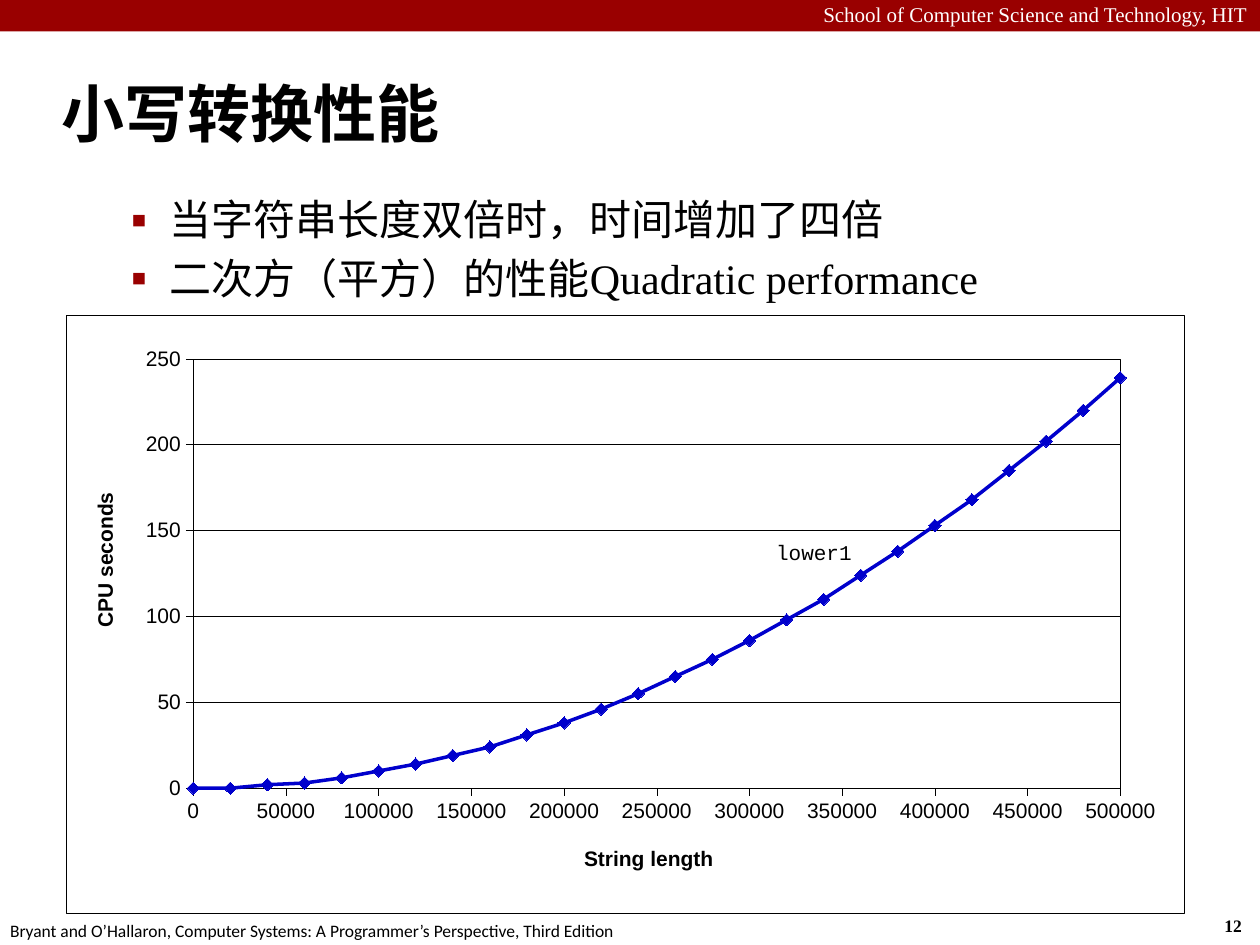
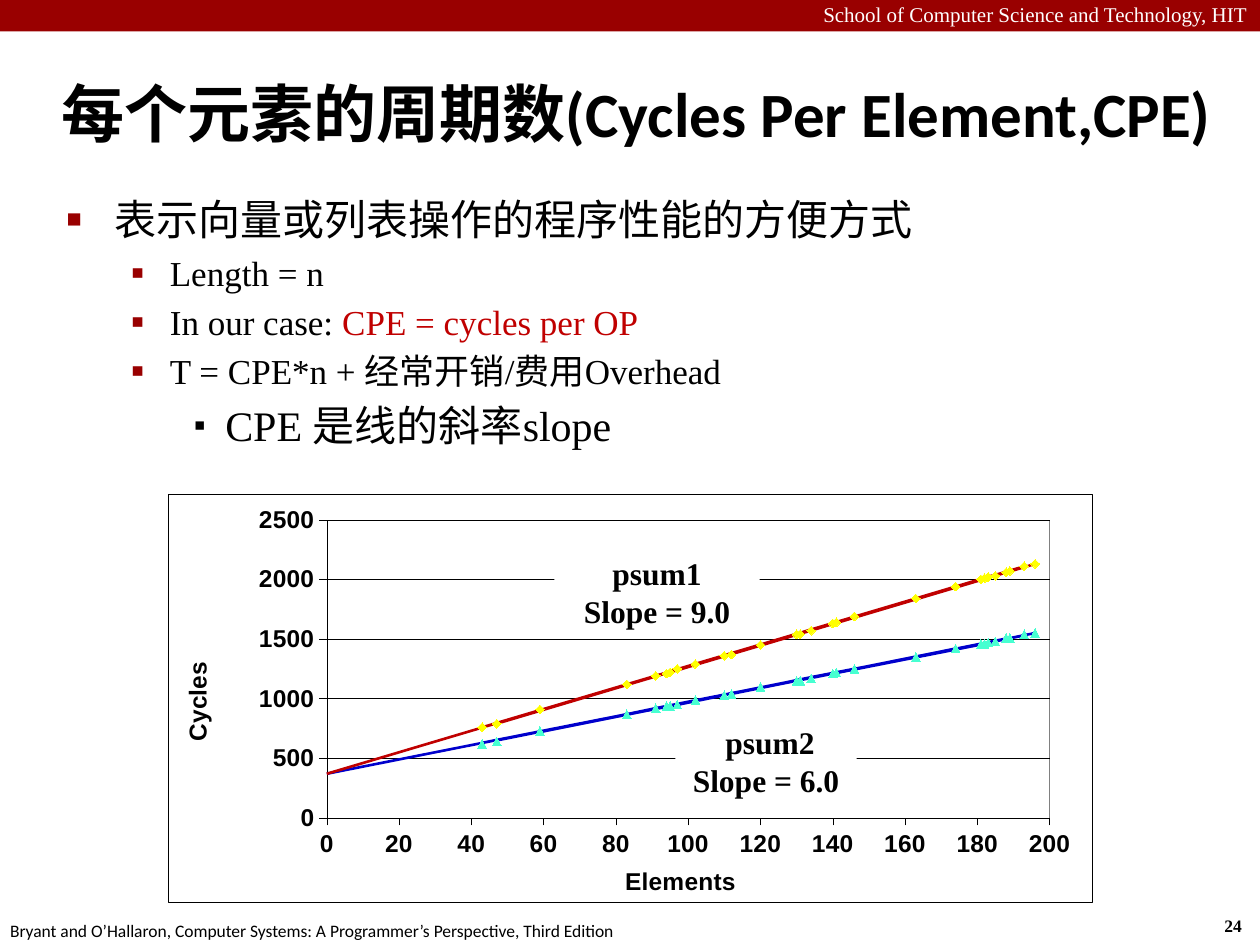
from dataclasses import dataclass
from typing import Any, Optional

import lxml.etree
import pptx
import pptx.chart.data
import pptx.dml.color
import pptx.enum.chart
import pptx.enum.shapes
import pptx.enum.text
import pptx.oxml
import pptx.oxml.ns
import pptx.util

EMU_PER_PX = 9144
RED, BLUE, BLACK, WHITE = "990000", "0000CC", "000000", "FFFFFF"
CRIMSON, YELLOW, AQUA, GREY = "C00000", "FFFF00", "47FFD1", "808080"
SERIF, SANS, HEAD, MONO = "Times New Roman", "Arial", "Calibri", "Courier New"
SCHOOL = "School of Computer Science and Technology, HIT"
BOOK = "Bryant and O’Hallaron, Computer Systems: A Programmer’s Perspective, Third Edition"
ALIGN = pptx.enum.text.PP_ALIGN
MARKER = pptx.enum.chart.XL_MARKER_STYLE
CHART = pptx.enum.chart.XL_CHART_TYPE
qn = pptx.oxml.ns.qn


@dataclass
class Box:
    left: int
    top: int
    width: int
    height: int

    def emu(self) -> list[int]:
        return [px(v) for v in (self.left, self.top, self.width, self.height)]


@dataclass
class Bullet:
    level: int
    size: int
    text: str
    accent: str = ""


@dataclass
class BulletStyle:
    char: str
    percent: int
    left: int
    hang: int
    color: str


@dataclass
class Series:
    name: str
    xs: list[int]
    ys: list[Optional[int]]
    color: str
    line_width: float = 0
    marker: Any = MARKER.NONE
    marker_size: int = 5


@dataclass
class Axis:
    title: str
    maximum: int
    step: int
    title_x: float
    title_y: float


@dataclass
class ScatterChart:
    box: Box
    kind: Any
    size: int
    bold: bool
    plot: tuple[float, float, float, float]
    plot_line: str
    x_axis: Axis
    y_axis: Axis
    series: list[Series]


BULLETS = [
    BulletStyle("■", 60, 38, 38, RED),
    BulletStyle("▪", 110, 82, 31, RED),
    BulletStyle("▪", 80, 126, 25, BLACK),
]


def px(value: int) -> int:
    return value * EMU_PER_PX


def rgb(color: str) -> pptx.dml.color.RGBColor:
    return pptx.dml.color.RGBColor.from_string(color)


def style_font(font: Any, size: float, name: str, color: str = BLACK, bold: bool = False) -> None:
    font.size = pptx.util.Pt(size)
    font.name = name
    font.bold = bold
    font.color.rgb = rgb(color)


def style_line(line: Any, color: str, width: float) -> None:
    line.color.rgb = rgb(color)
    line.width = pptx.util.Pt(width)


def set_margins(tf: Any, left: int, top: int, right: int, bottom: int) -> None:
    tf.margin_left, tf.margin_top = px(left), px(top)
    tf.margin_right, tf.margin_bottom = px(right), px(bottom)


def add_text(s: Any, box: Box, text: str, size: int, font: str, bold: bool = False,
             align: Any = ALIGN.LEFT, fill: Optional[str] = None,
             margins: tuple[int, int, int, int] = (10, 5, 10, 5), wrap: bool = True) -> None:
    sp = s.shapes.add_textbox(*box.emu())
    if fill:
        sp.fill.solid()
        sp.fill.fore_color.rgb = rgb(fill)
    tf = sp.text_frame
    tf.word_wrap = wrap
    set_margins(tf, *margins)
    tf.text = text
    for p in tf.paragraphs:
        p.alignment = align
        style_font(p.runs[0].font, size, font, bold=bold)


def add_band(s: Any) -> None:
    sp = s.shapes.add_shape(pptx.enum.shapes.MSO_SHAPE.RECTANGLE, *Box(0, 0, 1000, 25).emu())
    sp.shadow.inherit = False
    sp.fill.solid()
    sp.fill.fore_color.rgb = rgb(RED)
    sp.line.fill.background()
    tf = sp.text_frame
    set_margins(tf, 10, 0, 10, 2)
    tf.vertical_anchor = pptx.enum.text.MSO_ANCHOR.MIDDLE
    tf.text = SCHOOL
    tf.paragraphs[0].alignment = ALIGN.RIGHT
    style_font(tf.paragraphs[0].runs[0].font, 12, SERIF, WHITE)


def add_slide(prs: Any, title: str, number: int) -> Any:
    s = prs.slides.add_slide(prs.slide_layouts[5])
    add_band(s)
    add_text(s, Box(962, 721, 37, 27), str(number), 10, SERIF, bold=True, wrap=False)
    add_text(s, Box(0, 725, 508, 27), BOOK, 10, HEAD, margins=(8, 5, 10, 5), wrap=False)
    sp = s.shapes.title
    sp.left, sp.top, sp.width, sp.height = Box(39, 48, 961, 83).emu()
    tf = sp.text_frame
    tf.text = title
    tf.auto_size = pptx.enum.text.MSO_AUTO_SIZE.NONE
    tf.vertical_anchor = pptx.enum.text.MSO_ANCHOR.MIDDLE
    tf.paragraphs[0].alignment = ALIGN.LEFT
    style_font(tf.paragraphs[0].runs[0].font, 36, HEAD, bold=True)
    return s


def set_bullet(p: Any, style: BulletStyle) -> None:
    pPr = p._p.get_or_add_pPr()
    pPr.set("marL", str(px(style.left)))
    pPr.set("indent", str(-px(style.hang)))
    color = lxml.etree.SubElement(pPr, qn("a:buClr"))
    lxml.etree.SubElement(color, qn("a:srgbClr"), val=style.color)
    lxml.etree.SubElement(pPr, qn("a:buSzPct"), val=str(style.percent * 1000))
    lxml.etree.SubElement(pPr, qn("a:buFont"), typeface=SANS)
    lxml.etree.SubElement(pPr, qn("a:buChar"), char=style.char)


def add_bullets(s: Any, height: int, bullets: list[Bullet]) -> None:
    tf = s.shapes.add_textbox(*Box(43, 149, 940, height).emu()).text_frame
    tf.word_wrap = True
    for i, bullet in enumerate(bullets):
        p = tf.add_paragraph() if i else tf.paragraphs[0]
        p.text = bullet.text
        set_bullet(p, BULLETS[bullet.level])
        if i:
            p.space_before = pptx.util.Pt(bullet.size * 0.2)
        style_font(p.runs[0].font, bullet.size, SERIF)
        if bullet.accent:
            r = p.add_run()
            r.text = bullet.accent
            style_font(r.font, bullet.size, SERIF, CRIMSON)


def set_layout(element: Any, **values: Any) -> None:
    layout = element.find(qn("c:layout"))
    if layout is None:
        layout = lxml.etree.Element(qn("c:layout"))
        element.insert(0, layout)
    manual = lxml.etree.SubElement(layout, qn("c:manualLayout"))
    for tag, value in values.items():
        lxml.etree.SubElement(manual, qn(f"c:{tag}"), val=str(value))


def frame_xml(fill: str, line: str) -> Any:
    return pptx.oxml.parse_xml(
        f'<c:spPr {pptx.oxml.ns.nsdecls("c", "a")}>{fill}<a:ln w="3175"><a:solidFill>'
        f'<a:srgbClr val="{line}"/></a:solidFill></a:ln></c:spPr>')


def format_axis(axis: Any, spec_axis: Axis, size: int, grid: bool) -> None:
    axis.minimum_scale, axis.maximum_scale = 0, spec_axis.maximum
    axis.major_unit = spec_axis.step
    axis.major_tick_mark = pptx.enum.chart.XL_TICK_MARK.OUTSIDE
    axis.minor_tick_mark = pptx.enum.chart.XL_TICK_MARK.NONE
    style_line(axis.format.line, BLACK, 0.25)
    axis.has_major_gridlines = grid
    if grid:
        style_line(axis.major_gridlines.format.line, BLACK, 0.25)
    title = axis.axis_title
    tf = title.text_frame
    tf.text = spec_axis.title
    style_font(tf.paragraphs[0].runs[0].font, size, SANS, bold=True)
    if grid:
        body = title._element.find(".//" + qn("a:bodyPr"))
        body.set("rot", "-5400000")
        body.set("vert", "horz")
    set_layout(title._element, xMode="edge", yMode="edge", x=spec_axis.title_x, y=spec_axis.title_y)


def format_series(ser: Any, data: Series) -> None:
    if data.line_width:
        style_line(ser.format.line, data.color, data.line_width)
    else:
        ser.format.line.fill.background()
    ser.marker.style = data.marker
    if data.marker != MARKER.NONE:
        ser.marker.size = data.marker_size
        ser.marker.format.fill.solid()
        ser.marker.format.fill.fore_color.rgb = rgb(data.color)
        ser.marker.format.line.color.rgb = rgb(data.color)


def add_scatter(s: Any, scatter: ScatterChart) -> None:
    data = pptx.chart.data.XyChartData()
    for series in scatter.series:
        points = data.add_series(series.name)
        for x, y in zip(series.xs, series.ys, strict=True):
            points.add_data_point(x, y)
    chart = s.shapes.add_chart(scatter.kind, *scatter.box.emu(), data).chart
    chart.has_title = False
    chart.has_legend = False
    style_font(chart.font, scatter.size, SANS, bold=scatter.bold)
    chart.plots[0].vary_by_categories = False
    format_axis(chart.category_axis, scatter.x_axis, scatter.size, False)
    format_axis(chart.value_axis, scatter.y_axis, scatter.size, True)
    for ser, series in zip(chart.plots[0].series, scatter.series):
        format_series(ser, series)
    chart_el = chart._chartSpace.find(qn("c:chart"))
    white = f'<a:solidFill><a:srgbClr val="{WHITE}"/></a:solidFill>'
    chart_el.addnext(frame_xml(white, BLACK))
    area = chart_el.find(qn("c:plotArea"))
    area.append(frame_xml("<a:noFill/>", scatter.plot_line))
    x, y, w, h = scatter.plot
    set_layout(area, layoutTarget="inner", xMode="edge", yMode="edge", x=x, y=y, w=w, h=h)


LOWER1 = [0, 0, 2, 3, 6, 10, 14, 19, 24, 31, 38, 46, 55, 65, 75, 86, 98, 110, 124, 138,
          153, 168, 185, 202, 220, 239]
ELEMENTS = [0, 193, 120, 91, 95, 196, 97, 181, 91, 83, 43, 183, 140, 146, 94, 134, 163, 131,
            110, 182, 189, 112, 141, 185, 188, 47, 130, 102, 59, 174]
PSUM1 = [None, 2110, 1450, 1190, 1220, 2130, 1250, 2000, 1190, 1120, 760, 2020, 1630, 1690, 1210,
         1570, 1840, 1540, 1360, 2010, 2070, 1370, 1640, 2030, 2060, 790, 1540, 1290, 910, 1940]
PSUM1_FIT = [370, 2110, 1450, 1190, 1220, 2130, 1240, 2000, 1190, 1120, 760, 2020, 1630, 1680, 1220,
             1580, 1840, 1550, 1360, 2010, 2070, 1380, 1640, 2040, 2060, 790, 1540, 1290, 900, 1940]
PSUM2 = [None, 1540, 1100, 920, 940, 1550, 950, 1460, 920, 870, 620, 1470, 1210, 1250, 940,
         1170, 1350, 1150, 1030, 1460, 1510, 1040, 1220, 1480, 1510, 640, 1150, 990, 730, 1420]
PSUM2_FIT = [370, 1530, 1090, 920, 940, 1550, 950, 1460, 920, 870, 630, 1470, 1210, 1250, 930,
             1180, 1350, 1160, 1030, 1460, 1510, 1040, 1220, 1480, 1500, 650, 1150, 980, 720, 1420]


def lowercase_slide(prs: Any) -> None:
    s = add_slide(prs, "小写转换性能", 12)
    add_bullets(s, 98, [
        Bullet(1, 24, "当字符串长度双倍时，时间增加了四倍"),
        Bullet(1, 24, "二次方（平方）的性能Quadratic performance"),
    ])
    lengths = list(range(0, 500001, 20000))
    add_scatter(s, ScatterChart(
        Box(52, 250, 888, 475), CHART.XY_SCATTER_SMOOTH, 12, False, (0.114, 0.073, 0.829, 0.718),
        BLACK, Axis("String length", 500000, 50000, 0.46, 0.88),
        Axis("CPU seconds", 250, 50, 0.02, 0.29),
        [Series("Series 1", lengths, LOWER1, BLUE, 2, MARKER.DIAMOND, 7)]))
    add_text(s, Box(613, 425, 64, 24), "lower1", 12, MONO, margins=(3, 3, 0, 0), wrap=False)


def cpe_slide(prs: Any) -> None:
    s = add_slide(prs, "每个元素的周期数(Cycles Per Element,CPE)", 24)
    add_bullets(s, 230, [
        Bullet(0, 24, "表示向量或列表操作的程序性能的方便方式"),
        Bullet(1, 20, "Length = n"),
        Bullet(1, 20, "In our case: ", "CPE = cycles per OP"),
        Bullet(1, 20, "T = CPE*n + 经常开销/费用Overhead"),
        Bullet(2, 24, "CPE 是线的斜率slope"),
    ])
    add_scatter(s, ScatterChart(
        Box(133, 392, 734, 325), CHART.XY_SCATTER_LINES, 14, True, (0.172, 0.063, 0.782, 0.731),
        GREY, Axis("Elements", 200, 20, 0.49, 0.9), Axis("Cycles", 2500, 500, 0.01, 0.4),
        [Series("Series 1", ELEMENTS, PSUM1, YELLOW, marker=MARKER.DIAMOND),
         Series("Series 2", ELEMENTS, PSUM1_FIT, CRIMSON, 1.5),
         Series("Series 3", ELEMENTS, PSUM2, AQUA, marker=MARKER.TRIANGLE),
         Series("Series 4", ELEMENTS, PSUM2_FIT, BLUE, 1.5)]))
    for box, text in ((Box(440, 437, 163, 64), "psum1\nSlope = 9.0"),
                      (Box(536, 571, 144, 63), " psum2\nSlope = 6.0")):
        add_text(s, box, text, 18, SERIF, True, ALIGN.CENTER, WHITE, (3, 3, 3, 0))


def main() -> None:
    prs = pptx.Presentation()
    prs.slide_width, prs.slide_height = px(1000), px(750)
    lowercase_slide(prs)
    cpe_slide(prs)
    prs.save("out.pptx")


if __name__ == "__main__":
    main()
